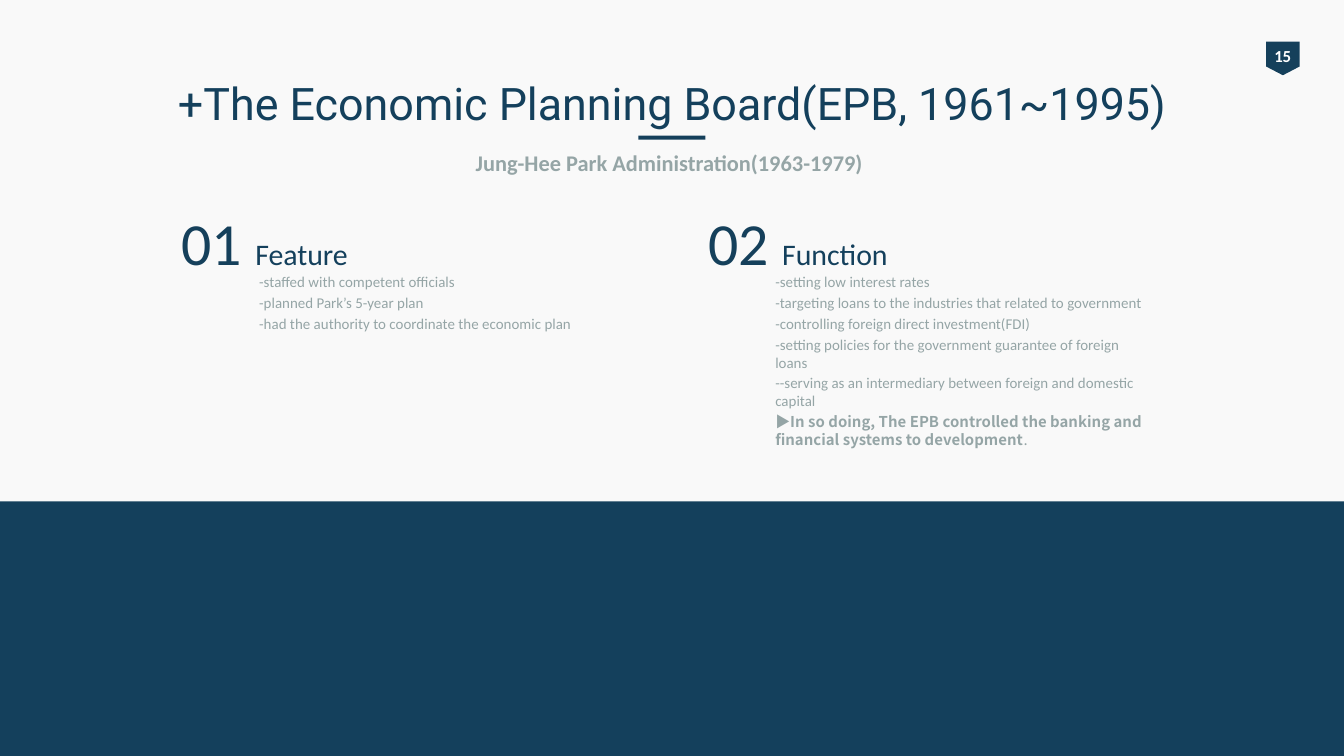
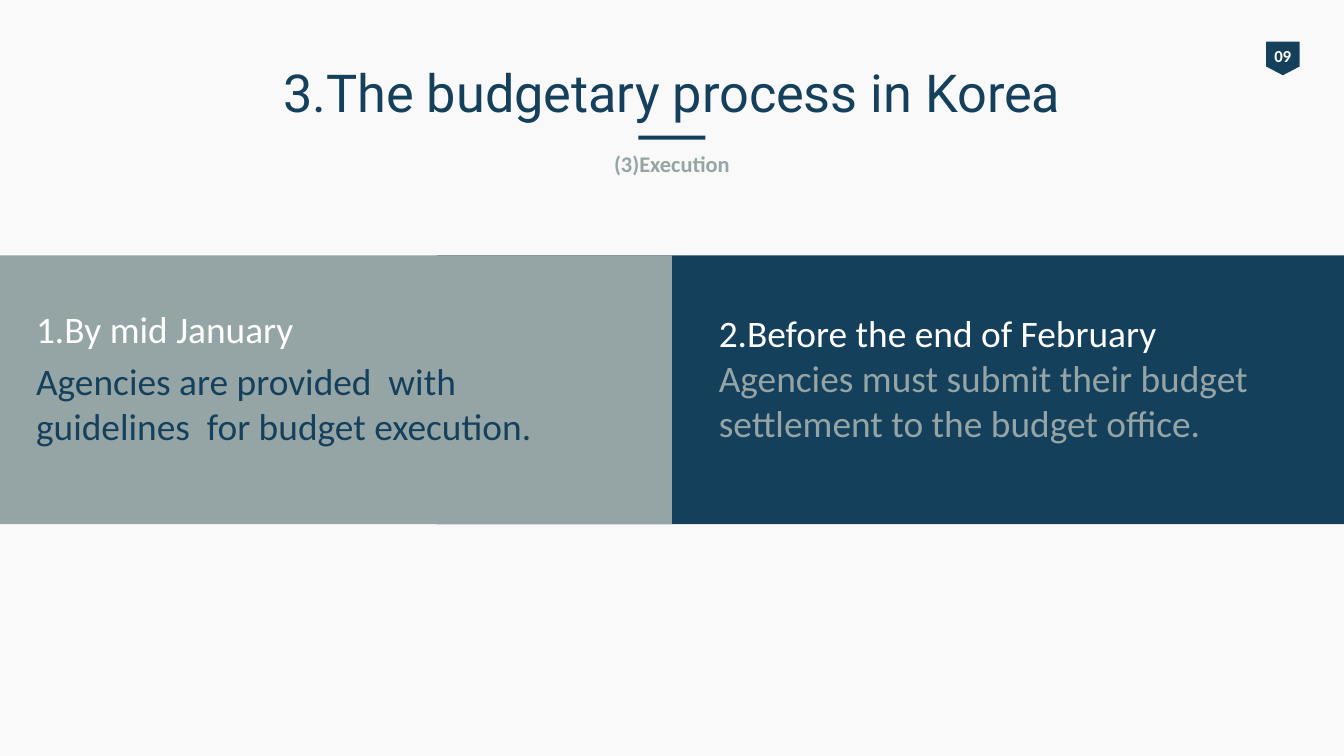
from pptx import Presentation
from pptx.dml.color import RGBColor
from pptx.enum import shapes, text
from pptx.util import Inches, Pt

COLUMNS, ROWS = 100, 56.25
WIDTH = Inches(10)
UNIT = WIDTH / COLUMNS

PAPER = RGBColor(0xF9, 0xF9, 0xF9)
WHITE = RGBColor(0xFF, 0xFF, 0xFF)
NAVY = RGBColor(0x14, 0x40, 0x5C)
INK = RGBColor(0x15, 0x40, 0x5B)
GREY = RGBColor(0x95, 0xA5, 0xA6)

BODY_FONT = "Calibri"
TITLE_FONT = "Roboto"
KOREAN_FONT = "Noto Sans CJK KR"
RECTANGLE = shapes.MSO_SHAPE.RECTANGLE
PENTAGON = shapes.MSO_SHAPE.PENTAGON
LEFT, CENTER = text.PP_ALIGN.LEFT, text.PP_ALIGN.CENTER
TOP, MIDDLE = text.MSO_ANCHOR.TOP, text.MSO_ANCHOR.MIDDLE

FEATURES = [
    "-staffed with competent officials",
    "-planned Park’s 5-year plan",
    "-had the authority to coordinate the economic plan",
]
FUNCTIONS = [
    "-setting low interest rates",
    "-targeting loans to the industries that related to government",
    "-controlling foreign direct investment(FDI)",
    "-setting policies for the government guarantee of foreign loans",
    "--serving as an intermediary between foreign and domestic capital",
]
CONCLUSION = ("▶In so doing, The EPB controlled the banking and "
              "financial systems to development")


def on_grid(*cells):
    return [round(cell * UNIT) for cell in cells]


def add_block(slide, area, color, outline=RECTANGLE, point=None):
    block = slide.shapes.add_shape(outline, *on_grid(*area))
    block.shadow.inherit = False
    block.fill.solid()
    block.fill.fore_color.rgb = color
    block.line.fill.background()
    if point is not None:
        block.adjustments[0] = point
    return block


def styled(wording, size, color, font=BODY_FONT, bold=False):
    return wording, size, color, font, bold


def add_text(slide, area, paragraphs, align=LEFT, anchor=TOP, wrap=True, spacing=0.2):
    frame = slide.shapes.add_textbox(*on_grid(*area)).text_frame
    frame.word_wrap = wrap
    frame.vertical_anchor = anchor
    for index, runs in enumerate(paragraphs):
        paragraph = frame.add_paragraph() if index else frame.paragraphs[0]
        paragraph.alignment = align
        if index:
            paragraph.space_before = Pt(spacing * runs[0][1])
        for wording, size, color, font, bold in runs:
            run = paragraph.add_run()
            run.text = wording
            run.font.size = Pt(size)
            run.font.color.rgb = color
            run.font.name = font
            run.font.bold = bold


def add_page_badge(slide, number):
    badge = add_block(slide, (94.2, 3.1, 2.5, 2.5), INK, PENTAGON, 0.26)
    badge.rotation = 90
    add_text(slide, (93.8, 2.9, 3.3, 2.5),
             [[styled(number, 9, WHITE, bold=True)]], CENTER, wrap=False)


def add_heading(slide, title, size, title_area, subtitle, subtitle_area):
    add_text(slide, title_area, [[styled(title, size, NAVY, TITLE_FONT)]], CENTER, MIDDLE)
    add_block(slide, (47.5, 10.1, 5, 0.3), INK)
    add_text(slide, subtitle_area, [[styled(subtitle, 12, GREY, bold=True)]], CENTER)


def add_topic(slide, number, name, heading_area, points, points_area):
    add_text(slide, heading_area,
             [[styled(f"{number} ", 32, INK), styled(name, 16, NAVY)]])
    add_text(slide, points_area, points)


def add_step(slide, area, deadline, duty, duty_color, spacing):
    add_text(slide, area, [[styled(deadline, 20, WHITE)],
                           [styled(duty, 20, duty_color)]], spacing=spacing)


def start_slide(deck, number):
    slide = deck.slides.add_slide(deck.slide_layouts[6])
    slide.background.fill.solid()
    slide.background.fill.fore_color.rgb = PAPER
    add_page_badge(slide, number)
    return slide


def build_planning_board(deck):
    slide = start_slide(deck, "15")
    add_heading(slide, "+The Economic Planning Board(EPB, 1961~1995)", 24, (5, 5.1, 90, 5),
                "Jung-Hee Park Administration(1963-1979)", (34.2, 10.6, 31.2, 3))
    add_block(slide, (0, 37.3, COLUMNS, ROWS - 37.3), NAVY)
    features = [[styled(point, 8, GREY)] for point in FEATURES]
    functions = [[styled(point, 8, GREY)] for point in FUNCTIONS]
    functions.append([styled(CONCLUSION, 8, GREY, KOREAN_FONT, True),
                      styled(".", 8, GREY, KOREAN_FONT)])
    add_topic(slide, "01", "Feature", (12.5, 14.8, 33, 3.4),
              features, (18.3, 19.8, 27.2, 5))
    add_topic(slide, "02", "Function", (51.7, 14.8, 34.7, 7.1),
              functions, (56.7, 19.8, 29.9, 15.8))


def build_budget_execution(deck):
    slide = start_slide(deck, "09")
    add_heading(slide, "3.The budgetary process in Korea", 28, (5, 4, 90, 5.7),
                "(3)Execution", (5, 10.7, 90, 3))
    add_block(slide, (32.5, 19, 67.5, 20), NAVY)
    add_block(slide, (0, 19, COLUMNS / 2, 20), GREY, PENTAGON, 0)
    add_step(slide, (1.7, 22.3, 39.2, 16.7), "1.By mid January",
             "Agencies are provided  with guidelines  for budget execution.", INK, 0.2)
    add_step(slide, (52.5, 22.6, 43.3, 17.2), "2.Before the end of February",
             "Agencies must submit their budget settlement to the budget office.", GREY, 0)


def main():
    deck = Presentation()
    deck.slide_width = WIDTH
    deck.slide_height = round(ROWS * UNIT)
    build_planning_board(deck)
    build_budget_execution(deck)
    deck.save("out.pptx")


if __name__ == "__main__":
    main()
